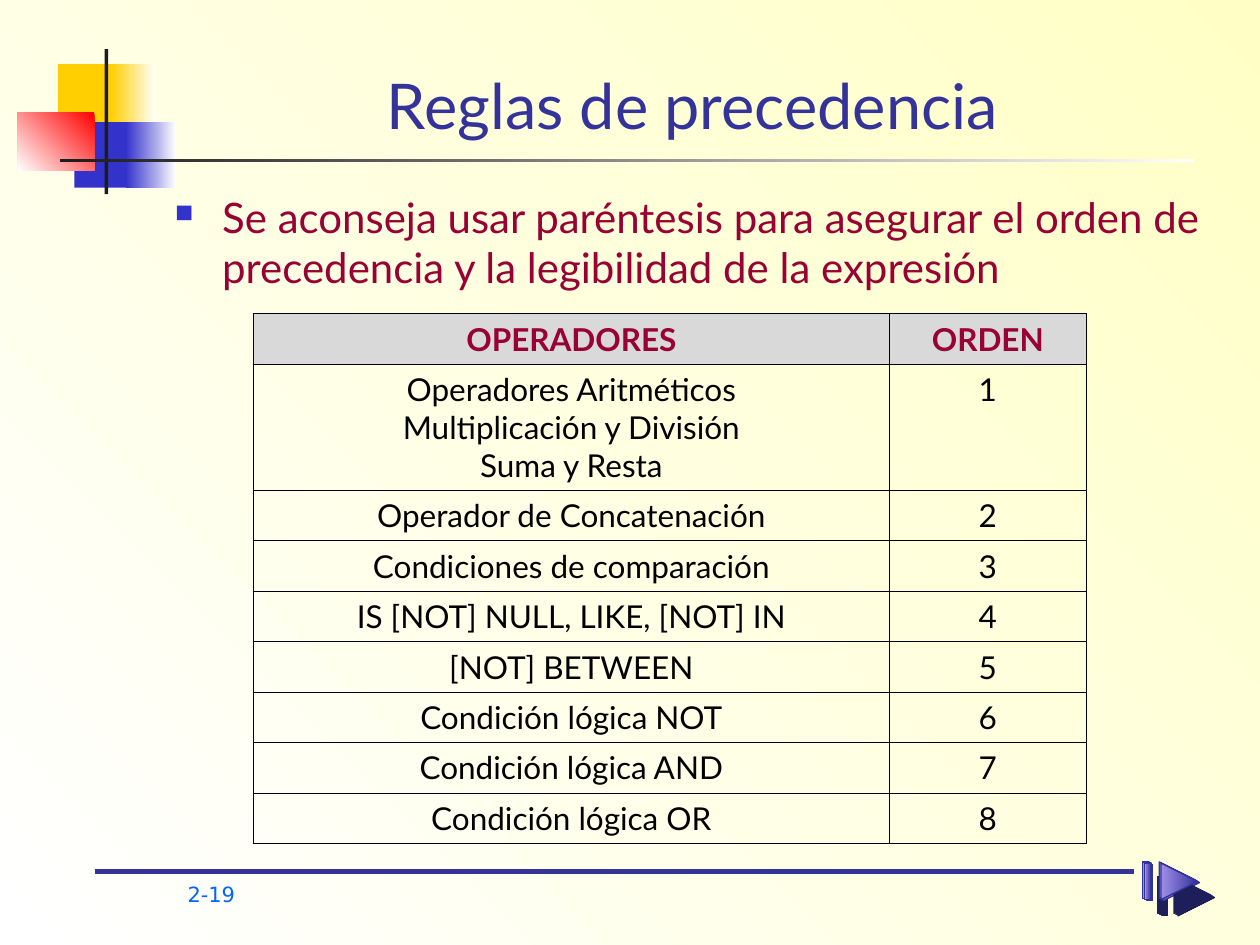
from dataclasses import dataclass

from lxml import etree
from pptx import Presentation
from pptx.dml.color import RGBColor
from pptx.enum.shapes import MSO_CONNECTOR, MSO_SHAPE
from pptx.enum.text import MSO_ANCHOR, MSO_AUTO_SIZE, PP_ALIGN
from pptx.oxml.ns import qn
from pptx.util import Inches, Pt

RECTANGLE = MSO_SHAPE.RECTANGLE
STRAIGHT = MSO_CONNECTOR.STRAIGHT
CENTER = PP_ALIGN.CENTER
BOTTOM = MSO_ANCHOR.BOTTOM
NO_AUTOFIT = MSO_AUTO_SIZE.NONE

WHITE = RGBColor(0xFF, 0xFF, 0xFF)
BLACK = RGBColor(0, 0, 0)
CREAM = RGBColor(0xFF, 0xFF, 0xC5)
YELLOW = RGBColor(0xFF, 0xCF, 0x01)
BLUE = RGBColor(0x33, 0x33, 0xCC)
RED = RGBColor(0xFF, 0, 0)
INK = RGBColor(0x1C, 0x1C, 0x1C)
NAVY = RGBColor(0x33, 0x33, 0x99)
LILAC = RGBColor(0xA0, 0x8F, 0xE9)
SHADOW = RGBColor(0x1E, 0x1E, 0x5B)
MAROON = RGBColor(0x99, 0, 0x33)
GREY = RGBColor(0xD9, 0xD9, 0xD9)
PAGE_BLUE = RGBColor(0, 0x66, 0xFF)

TEXT_FONT = "Lato"
PAGE_FONT = "DejaVu Sans"

# Square grid: 100 columns by 75 rows
COLUMNS, ROWS = 100, 75
SLIDE_W = Inches(10)
CELL = SLIDE_W // COLUMNS

OPERATORS = [
    "Operadores Aritméticos\nMultiplicación y División\nSuma y Resta",
    "Operador de Concatenación",
    "Condiciones de comparación",
    "IS [NOT] NULL, LIKE, [NOT] IN",
    "[NOT] BETWEEN",
    "Condición lógica NOT",
    "Condición lógica AND",
    "Condición lógica OR",
]


def grid(cells):
    return round(cells * CELL)


@dataclass
class Box:
    """Area measured in grid columns and rows."""
    x: float
    y: float
    w: float
    h: float

    def inner(self, dx, dy, w, h):
        return Box(self.x + dx, self.y + dy, w, h)

    def emu(self):
        return [grid(n) for n in (self.x, self.y, self.w, self.h)]


def paint_gradient(fill, start, end, angle=180):
    fill.gradient()
    fill.gradient_angle = angle
    for stop, color, position in zip(fill.gradient_stops, (start, end), (0, 1)):
        stop.color.rgb = color
        stop.position = position


def set_font(paragraph, size, color, name=TEXT_FONT, bold=False):
    font = paragraph.font
    font.size, font.name, font.bold = Pt(size), name, bold
    font.color.rgb = color


def add_bar(slide, box, start, end=None, angle=180):
    bar = slide.shapes.add_shape(RECTANGLE, *box.emu())
    bar.shadow.inherit = False
    bar.line.fill.background()
    if end is None:
        bar.fill.solid()
        bar.fill.fore_color.rgb = start
    else:
        paint_gradient(bar.fill, start, end, angle)


def add_ornament(slide, box):
    """Coloured squares crossed by two thin rules."""
    add_bar(slide, box.inner(3.2, 1.2, 4.8, 5.2), YELLOW)
    add_bar(slide, box.inner(7.4, 1.2, 3.6, 5.2), WHITE, YELLOW)
    add_bar(slide, box.inner(4.5, 5.8, 4.6, 5.2), BLUE)
    add_bar(slide, box.inner(8.6, 5.8, 4, 5.2), WHITE, BLUE)
    add_bar(slide, box.inner(0, 5, 6.1, 4.6), RED, WHITE, 225)
    add_bar(slide, box.inner(6.9, 0, 0.3, box.h), INK)
    add_bar(slide, box.inner(3.4, 8.7, box.w - 3.4, 0.3), WHITE, INK)


def add_title(slide, box):
    title = slide.shapes.title
    title.left, title.top, title.width, title.height = box.emu()
    frame = title.text_frame
    frame.text = "Reglas de precedencia"
    frame.vertical_anchor = BOTTOM
    frame.auto_size = NO_AUTOFIT
    frame.paragraphs[0].alignment = CENTER
    set_font(frame.paragraphs[0], 36, NAVY)


def add_advice(slide, box):
    frame = slide.shapes.add_textbox(*box.emu()).text_frame
    frame.word_wrap = True
    advice = frame.paragraphs[0]
    advice.text = ("Se aconseja usar paréntesis para asegurar el orden de "
                   "precedencia y la legibilidad de la expresión")
    # Square bullet with a hanging indent
    props = advice._p.get_or_add_pPr()
    props.set("marL", str(grid(3.75)))
    props.set("indent", str(-grid(3.75)))
    bullet_color = etree.SubElement(props, qn("a:buClr"))
    etree.SubElement(bullet_color, qn("a:srgbClr"), val=str(BLUE))
    etree.SubElement(props, qn("a:buSzPct"), val="60000")
    etree.SubElement(props, qn("a:buChar"), char="■")
    set_font(advice, 24, MAROON)


def set_borders(cell):
    props = cell._tc.get_or_add_tcPr()
    for side in ("lnL", "lnR", "lnT", "lnB"):
        border = etree.SubElement(props, qn(f"a:{side}"), w=str(Pt(0.45)))
        solid = etree.SubElement(border, qn("a:solidFill"))
        etree.SubElement(solid, qn("a:srgbClr"), val=str(BLACK))


def add_precedence_table(slide, box):
    rows = [("OPERADORES", "ORDEN")]
    rows += [(name, str(order)) for order, name in enumerate(OPERATORS, 1)]
    table = slide.shapes.add_table(len(rows), 2, *box.emu()).table
    table.first_row = table.horz_banding = False
    order_width = 15.6
    table.columns[0].width = grid(box.w - order_width)
    table.columns[1].width = grid(order_width)
    for r, texts in enumerate(rows):
        header = r == 0
        table.rows[r].height = grid(4 + 3 * texts[0].count("\n"))
        for c, text in enumerate(texts):
            cell = table.cell(r, c)
            set_borders(cell)
            if header:
                cell.fill.solid()
                cell.fill.fore_color.rgb = GREY
            else:
                cell.fill.background()
            cell.text = text
            for paragraph in cell.text_frame.paragraphs:
                paragraph.alignment = CENTER
                set_font(paragraph, 18, MAROON if header else BLACK, bold=header)


def style_arrow_piece(piece):
    paint_gradient(piece.fill, NAVY, LILAC)
    piece.line.color.rgb = NAVY
    piece.line.width = Pt(0.75)
    piece.shadow.inherit = False
    effects = piece._element.spPr.find(qn("a:effectLst"))
    shadow = etree.SubElement(effects, qn("a:outerShdw"), dist=str(Pt(12.1)),
                              dir="2700000", algn="ctr", rotWithShape="0")
    etree.SubElement(shadow, qn("a:srgbClr"), val=str(SHADOW))


def add_play_arrow(slide, box):
    """Bar and triangle, each stacked three times for depth."""
    layers = [(0.3, 0.2), (0, 0), (0.15, 0.1)]
    for dx, dy in layers:
        bar = box.inner(dx, dy, 0.5, box.h)
        style_arrow_piece(slide.shapes.add_shape(RECTANGLE, *bar.emu()))
    for dx, dy in layers:
        x, y, w, h = box.inner(1.3 + dx, dy, 2.9, box.h).emu()
        outline = slide.shapes.build_freeform(x + w, y + h // 2)
        outline.add_line_segments([(x, y), (x, y + h)], close=True)
        style_arrow_piece(outline.convert_to_shape())


def add_footer(slide, box):
    x, y, w, _ = box.emu()
    rule = slide.shapes.add_connector(STRAIGHT, x, y, x + w, y)
    rule.line.color.rgb = NAVY
    rule.line.width = Pt(2.75)
    etree.SubElement(rule._element.spPr, qn("a:effectLst"))
    add_play_arrow(slide, box.inner(83.2, -0.8, 4.5, 2.9))
    number_box = box.inner(6.4, 0.3, 8.6, 3.3)
    number = slide.shapes.add_textbox(*number_box.emu()).text_frame.paragraphs[0]
    number.text = "2-19"
    set_font(number, 12, PAGE_BLUE, PAGE_FONT)


def main():
    deck = Presentation()
    deck.slide_width, deck.slide_height = SLIDE_W, grid(ROWS)
    slide = deck.slides.add_slide(deck.slide_layouts[5])
    paint_gradient(slide.background.fill, CREAM, WHITE, 225)
    add_ornament(slide, Box(1.4, 3.9, 93.4, 11.5))
    add_footer(slide, Box(7.5, 69.2, 82.5, 3.6))
    add_title(slide, Box(12.6, 3.6, 84.7, 8.2))
    add_advice(slide, Box(12.9, 14.7, 84.3, 9.5))
    add_precedence_table(slide, Box(20.1, 24.9, 66.1, 42))
    deck.save("out.pptx")


if __name__ == "__main__":
    main()
